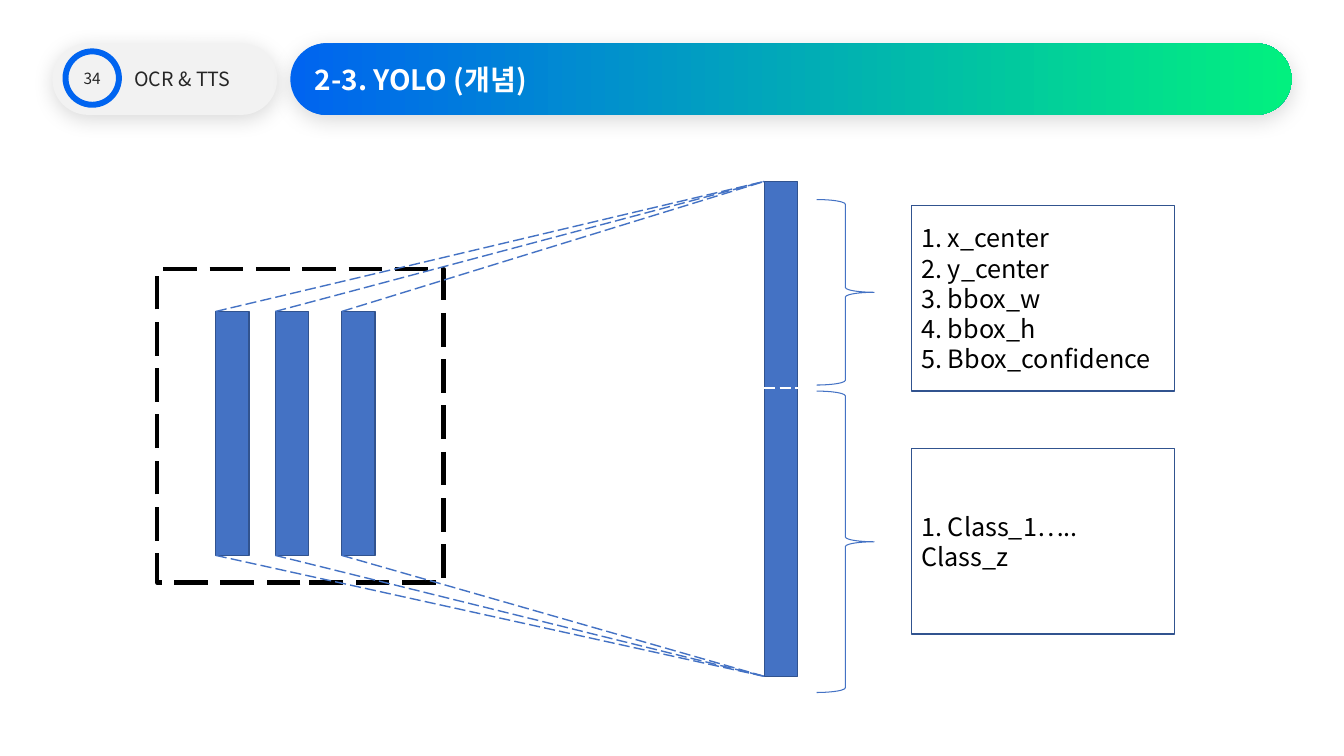
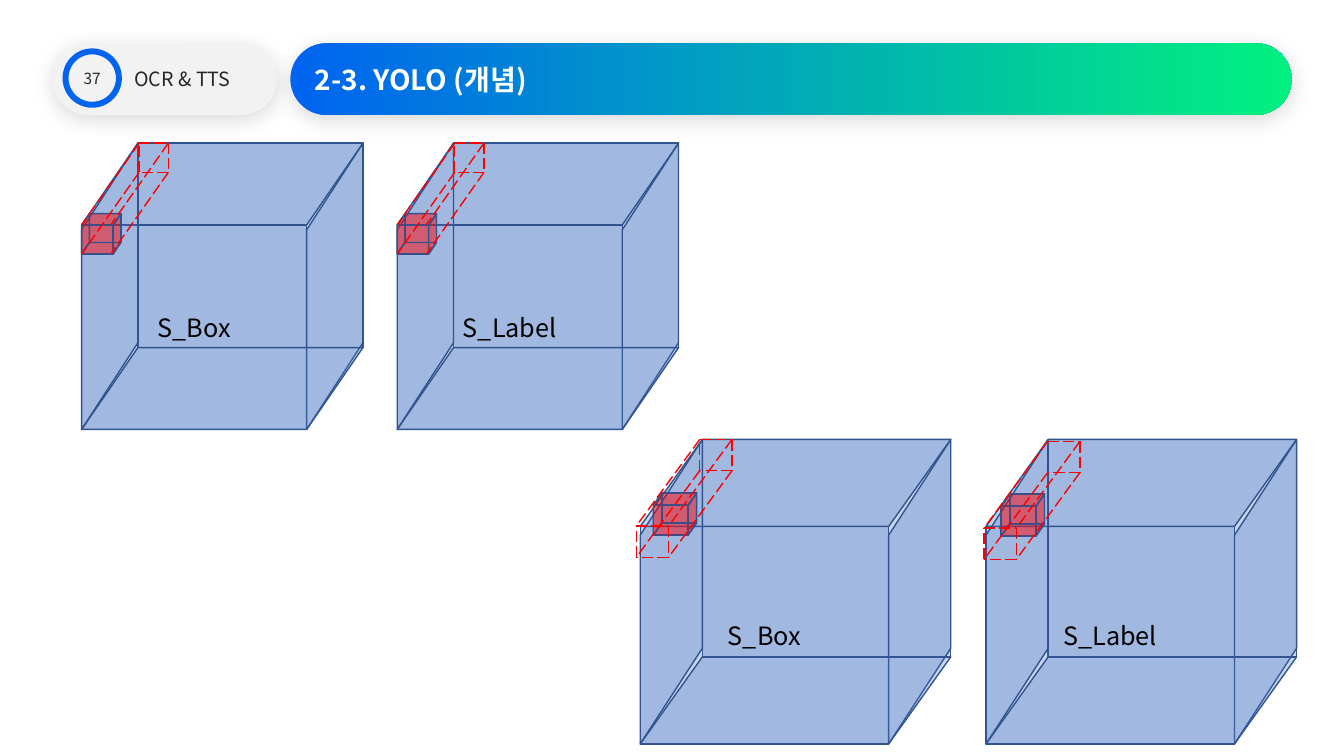
from lxml import etree
from pptx import Presentation
from pptx.dml.color import RGBColor
from pptx.enum import dml, shapes, text
from pptx.oxml import ns
from pptx.util import Inches, Pt

FONT = "Noto Sans CJK KR"
WHITE = RGBColor(0xFF, 0xFF, 0xFF)
BLACK = RGBColor(0x00, 0x00, 0x00)
INK = RGBColor(0x26, 0x26, 0x26)
PALE = RGBColor(0xF2, 0xF2, 0xF2)
ROYAL = RGBColor(0x00, 0x64, 0xF0)
MINT = RGBColor(0x02, 0xF0, 0x7F)
BLUE = RGBColor(0x44, 0x72, 0xC4)
NAVY = RGBColor(0x31, 0x53, 0x8F)
RED = RGBColor(0xFF, 0x00, 0x00)

KIND = shapes.MSO_SHAPE
DASH = dml.MSO_LINE.LONG_DASH
LEFT, CENTER = text.PP_ALIGN.LEFT, text.PP_ALIGN.CENTER

TITLE = "2-3. YOLO (개념)"
SECTION = "OCR & TTS"


def add_xml(parent, tag, **attributes):
    return etree.SubElement(parent, ns.qn(tag), **attributes)


def write(shape, content, size=18, color=BLACK, bold=False, align=LEFT, inset=0.1):
    frame = shape.text_frame
    frame.word_wrap = True
    frame.auto_size = text.MSO_AUTO_SIZE.NONE
    frame.vertical_anchor = text.MSO_ANCHOR.MIDDLE
    frame.margin_left, frame.margin_right = Inches(inset), Inches(0.1)
    frame.margin_top = frame.margin_bottom = Inches(0.05)
    for index, line in enumerate(content.split("\n")):
        para = frame.add_paragraph() if index else frame.paragraphs[0]
        para.alignment = align
        span = para.add_run()
        span.text = line
        font = span.font
        font.size, font.bold, font.name = Pt(size), bold, FONT
        font.color.rgb = color
        add_xml(span.font._element, "a:ea", typeface=FONT)


def add_box(parent, kind, left, top, width, height, fill=None, line=None,
            weight=1, dash=None, opacity=None):
    box = parent.shapes.add_shape(
        kind, Inches(left), Inches(top), Inches(width), Inches(height))
    box.shadow.inherit = False
    if fill is None:
        box.fill.background()
    else:
        box.fill.solid()
        box.fill.fore_color.rgb = fill
    if opacity is not None:
        color = box.element.spPr.find(".//" + ns.qn("a:srgbClr"))
        add_xml(color, "a:alpha", val=str(opacity * 1000))
    if line is None:
        box.line.fill.background()
    else:
        box.line.color.rgb = line
        box.line.width = Pt(weight)
        if dash:
            box.line.dash_style = dash
    return box


def add_dash(page, start, end, color):
    x1, y1, x2, y2 = (Inches(value) for value in (*start, *end))
    connector = page.shapes.add_connector(shapes.MSO_CONNECTOR.STRAIGHT, x1, y1, x2, y2)
    connector.line.color.rgb = color
    connector.line.width = Pt(1)
    connector.line.dash_style = DASH
    add_xml(connector.element.spPr, "a:effectLst")


def add_pill(page, left, top, width, height, fill):
    pill = add_box(page, KIND.ROUNDED_RECTANGLE, left, top, width, height, fill=fill)
    pill.adjustments[0] = 0.5
    effects = pill.element.spPr.find(ns.qn("a:effectLst"))
    shadow = add_xml(effects, "a:outerShdw", blurRad=str(Pt(15)), dist=str(Pt(3)),
                     dir="5400000", algn="t", rotWithShape="0")
    color = add_xml(shadow, "a:srgbClr", val="000000")
    add_xml(color, "a:alpha", val="14000")
    return pill


def add_header(page, number, left=0.52, top=0.43, height=0.71):
    section = add_pill(page, left, top, 2.23, height, PALE)
    write(section, SECTION, size=14, color=INK, inset=0.71)
    badge = add_box(page, KIND.OVAL, left + 0.13, top + 0.08, 0.53, 0.53,
                    line=ROYAL, weight=4.25)
    write(badge, str(number), size=11, color=INK, align=CENTER)

    band_left, band_width = left + 2.36, 9.93
    band = add_pill(page, band_left, top, band_width, height, ROYAL)
    band.fill.gradient()
    band.fill.gradient_angle = 0
    for stop, color in zip(band.fill.gradient_stops, (ROYAL, MINT)):
        stop.color.rgb = color
    title = page.shapes.title
    title.left, title.top = Inches(band_left), Inches(top)
    title.width, title.height = Inches(band_width), Inches(height)
    write(title, TITLE, size=20, color=WHITE, bold=True, inset=0.24)
    band.element.addnext(title.element)


def add_page(deck, number):
    page = deck.slides.add_slide(deck.slide_layouts[5])
    add_header(page, number)
    return page


def add_layers(page, left, top, width, height):
    bar_width, bar_height = 0.33, 2.42
    bar_top, bar_bottom = top + 1.29, top + 1.29 + bar_height
    output_left = left + width - bar_width
    add_box(page, KIND.RECTANGLE, left, top + 0.87, 2.84, 3.11,
            line=BLACK, weight=3, dash=DASH)
    bar_lefts = [left + offset for offset in (0.58, 1.17, 1.83)]
    for bar_left in bar_lefts:
        add_box(page, KIND.RECTANGLE, bar_left, bar_top, bar_width, bar_height,
                fill=BLUE, line=NAVY)
    add_box(page, KIND.RECTANGLE, output_left, top, bar_width, height,
            fill=BLUE, line=NAVY)
    for bar_left in bar_lefts:
        add_dash(page, (bar_left, bar_top), (output_left, top), BLUE)
        add_dash(page, (bar_left, bar_bottom), (output_left, top + height), BLUE)
    divider = top + 2.05
    add_dash(page, (output_left, divider), (output_left + bar_width, divider), WHITE)


def add_output(page, left, top, height, label_top, content):
    add_box(page, KIND.RIGHT_BRACE, left, top, 0.57, height, line=BLUE, weight=0.75)
    label = add_box(page, KIND.RECTANGLE, left + 0.94, label_top, 2.61, 1.84, line=NAVY)
    write(label, content)


def add_cuboid(page, left, top, width, height, color, label=None):
    group = page.shapes.add_group_shape()
    slant, rise = width / 5, height * 2 / 7
    face_width, face_height = width - slant, height - rise
    style = dict(fill=color, line=NAVY, opacity=29)

    add_box(group, KIND.RECTANGLE, left + slant, top, face_width, face_height, **style)
    front = add_box(group, KIND.RECTANGLE, left, top + rise, face_width, face_height, **style)
    if label:
        write(front, label, align=CENTER)
    add_box(group, KIND.FLOWCHART_DATA, left, top, width, rise, **style)
    for side_left in (left + face_width, left):
        side = add_box(group, KIND.PARALLELOGRAM, side_left + (slant - height) / 2,
                       top + (height - slant) / 2, height, slant, **style)
        side.adjustments[0] = 1.54
        side.rotation = 90
        side.element.spPr.find(ns.qn("a:xfrm")).set("flipH", "1")
    add_box(group, KIND.FLOWCHART_DATA, left, top + face_height, width, rise, **style)


def add_beam(page, left, top, width, height, run, drop, front_face):
    right, bottom = left + width, top + height
    back = [(left, top), (right, top), (right, bottom), (left, bottom)]
    front = [(x - run, y + drop) for x, y in back]
    edges = list(zip(back, front))
    for face in (back, front) if front_face else (back,):
        edges += zip(face, face[1:] + face[:1])
    for start, end in edges:
        add_dash(page, start, end, RED)


def add_tensor(page, left, top, size, label, cell, cell_size, beam, beam_size, front_face):
    add_cuboid(page, left, top, *size, BLUE, label)
    add_cuboid(page, left + cell[0], top + cell[1], *cell_size, RED)
    add_beam(page, left + beam[0], top + beam[1], *beam_size, front_face)


def build_layers_page(deck):
    page = add_page(deck, 34)
    add_layers(page, 1.56, 1.8, 6.35, 4.91)
    add_output(page, 8.1, 1.98, 1.84, 2.04,
               "1. x_center\n2. y_center\n3. bbox_w\n4. bbox_h\n5. Bbox_confidence")
    add_output(page, 8.1, 3.88, 2.99, 4.45, "1. Class_1….. Class_z")


def build_tensors_page(deck):
    page = add_page(deck, 37)
    upper = dict(size=(2.79, 2.84), cell=(0, 0.7), cell_size=(0.39, 0.4),
                 beam=(0.57, 0), beam_size=(0.29, 0.29, 0.57, 0.81), front_face=False)
    lower = dict(size=(3.08, 3.02), cell_size=(0.43, 0.42),
                 beam_size=(0.32, 0.31, 0.63, 0.86), front_face=True)
    add_tensor(page, 0.81, 1.42, label="S_Box", **upper)
    add_tensor(page, 3.94, 1.42, label="S_Label", **upper)
    add_tensor(page, 6.35, 4.36, label="S_Box", cell=(0.13, 0.53), beam=(0.59, 0), **lower)
    add_tensor(page, 9.78, 4.36, label="S_Label", cell=(0.15, 0.54), beam=(0.61, 0.02), **lower)


def main():
    deck = Presentation()
    deck.slide_width, deck.slide_height = Inches(13.33), Inches(7.5)
    build_layers_page(deck)
    build_tensors_page(deck)
    deck.save("out.pptx")


if __name__ == "__main__":
    main()
